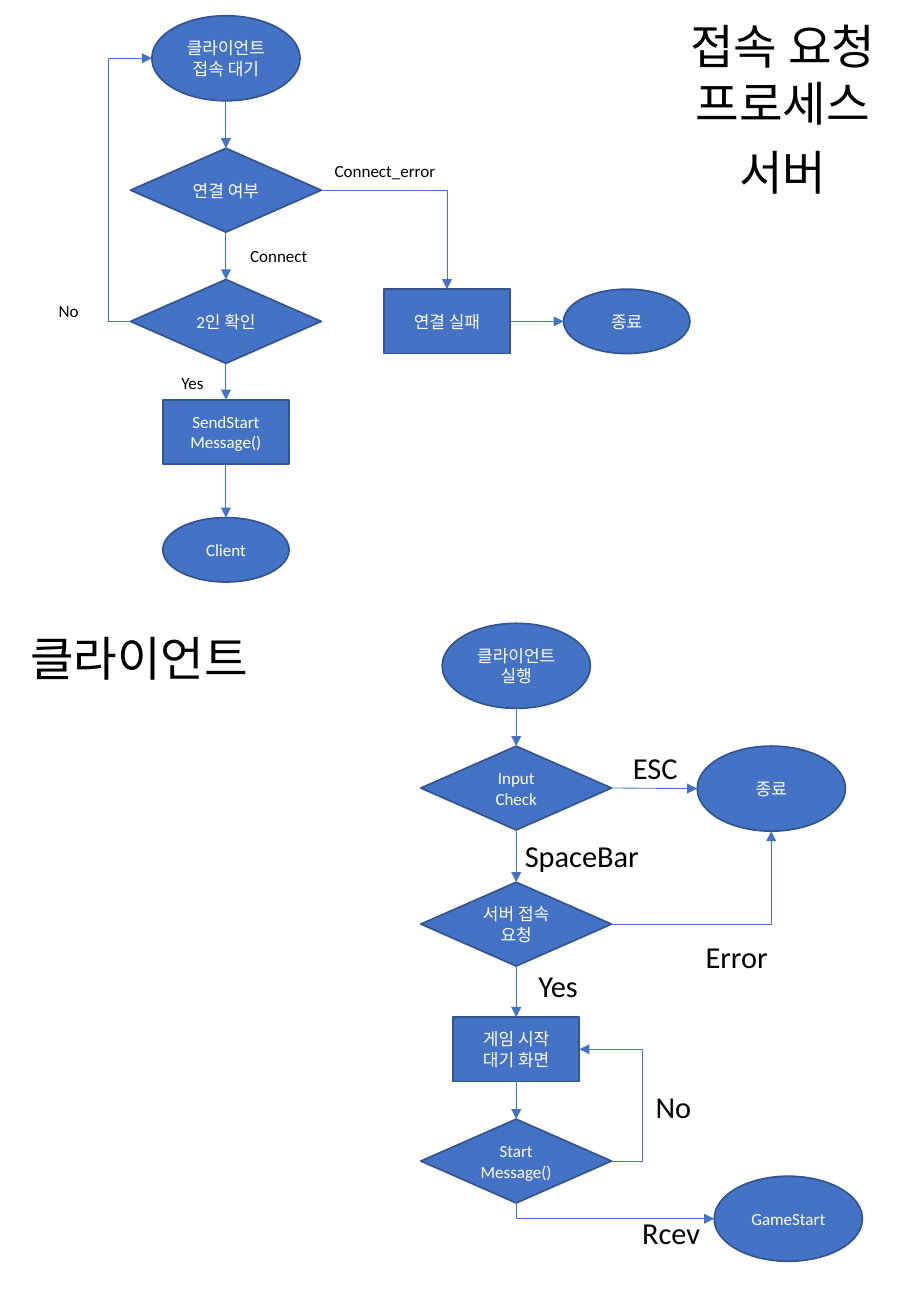
"""Build a slide with the server and client flowcharts of the connection request process."""
from dataclasses import dataclass

from lxml.etree import SubElement
from pptx import Presentation
from pptx.dml.color import RGBColor
from pptx.enum.shapes import MSO_CONNECTOR as Route, MSO_SHAPE as Preset
from pptx.enum.text import MSO_ANCHOR as Anchor, MSO_AUTO_SIZE as AutoSize, PP_ALIGN as Align
from pptx.oxml.ns import qn
from pptx.util import Inches, Pt


@dataclass(frozen=True)
class Theme:
    font: str = "Calibri"
    fill: RGBColor = RGBColor(0x44, 0x72, 0xC4)
    outline: RGBColor = RGBColor(0x32, 0x54, 0x91)
    dark: RGBColor = RGBColor(0, 0, 0)
    light: RGBColor = RGBColor(0xFF, 0xFF, 0xFF)
    title: float = 28.1
    label: float = 18
    small: float = 10.1


theme = Theme()


def write_text(shape, text, size, color, anchor=Anchor.TOP, inset=(0.1, 0.05), grow=False):
    frame = shape.text_frame
    frame.word_wrap = True
    frame.vertical_anchor = anchor
    frame.margin_left = frame.margin_right = Inches(inset[0])
    frame.margin_top = frame.margin_bottom = Inches(inset[1])
    if grow:
        frame.auto_size = AutoSize.SHAPE_TO_FIT_TEXT
    frame.text = text
    for paragraph in frame.paragraphs:
        paragraph.alignment = Align.CENTER
        for run in paragraph.runs:
            run.font.name = theme.font
            run.font.size = Pt(size)
            run.font.color.rgb = color


presentation = Presentation()
presentation.slide_width = Inches(7.5)
presentation.slide_height = Inches(10.83)
slide = presentation.slides.add_slide(presentation.slide_layouts[6])

kinds = {
    "terminal": (Preset.OVAL, 1.22, 0.7),
    "small terminal": (Preset.OVAL, 1.04, 0.53),
    "decision": (Preset.DIAMOND, 1.57, 0.69),
    "step": (Preset.RECTANGLE, 1.04, 0.53),
}
server_x, client_x = 1.86, 4.25
nodes = {
    "wait": ("terminal", "클라이언트 접속 대기", server_x, 0.13),
    "connected": ("decision", "연결 여부", server_x, 1.22),
    "two players": ("decision", "2인 확인", server_x, 2.3),
    "send start": ("step", "SendStart\nMessage()", server_x, 3.29),
    "client": ("small terminal", "Client", server_x, 4.26),
    "failed": ("step", "연결 실패", 3.68, 2.38),
    "server end": ("small terminal", "종료", 5.16, 2.38),
    "run": ("terminal", "클라이언트 실행", client_x, 5.13),
    "input": ("decision", "Input\nCheck", client_x, 6.14),
    "client end": ("terminal", "종료", 6.35, 6.14),
    "request": ("decision", "서버 접속 요청", client_x, 7.26),
    "lobby": ("step", "게임 시작\n대기 화면", client_x, 8.37),
    "start message": ("decision", "Start\nMessage()", client_x, 9.21),
    "game start": ("terminal", "GameStart", 6.49, 9.68),
}
shapes = {}
for name, (kind, text, center, top) in nodes.items():
    preset, width, height = kinds[kind]
    shape = slide.shapes.add_shape(
        preset, Inches(center - width / 2), Inches(top), Inches(width), Inches(height))
    shape.shadow.inherit = False
    shape.fill.solid()
    shape.fill.fore_color.rgb = theme.fill
    shape.line.color.rgb = theme.outline
    shape.line.width = Pt(1)
    write_text(shape, text, theme.small, theme.light, anchor=Anchor.MIDDLE, inset=(0.06, 0.03))
    shapes[name] = shape

TOP, LEFT, BOTTOM, RIGHT = range(4)
server_chain = ["wait", "connected", "two players", "send start", "client"]
client_chain = ["run", "input", "request", "lobby", "start message"]
links = [
    (start, BOTTOM, end, TOP, "straight")
    for chain in (server_chain, client_chain)
    for start, end in zip(chain, chain[1:])
]
links += [
    ("failed", RIGHT, "server end", LEFT, "straight"),
    ("input", RIGHT, "client end", LEFT, "straight"),
    ("connected", RIGHT, "failed", TOP, "across first"),
    ("request", RIGHT, "client end", BOTTOM, "across first"),
    ("start message", BOTTOM, "game start", LEFT, "down first"),
    ("two players", LEFT, "wait", LEFT, 0.89),
    ("start message", RIGHT, "lobby", RIGHT, 5.29),
]
for start, start_side, end, end_side, route in links:
    style = Route.STRAIGHT if route == "straight" else Route.ELBOW
    connector = slide.shapes.add_connector(style, 0, 0, 0, 0)
    connector.begin_connect(shapes[start], start_side)
    connector.end_connect(shapes[end], end_side)
    ends = connector.element.nvCxnSpPr.cNvCxnSpPr
    for joint, name, side in ((ends.stCxn, start, start_side), (ends.endCxn, end, end_side)):
        if shapes[name].auto_shape_type == Preset.OVAL:
            joint.idx = side * 2

    properties = connector.element.spPr
    geometry = properties.find(qn("a:prstGeom"))
    if route in ("across first", "down first"):
        geometry.set("prst", "bentConnector2")
    elif route != "straight":
        share = (Inches(route) - connector.begin_x) / (connector.end_x - connector.begin_x)
        SubElement(geometry.find(qn("a:avLst")), qn("a:gd"),
                   name="adj1", fmla=f"val {round(share * 100000)}")
    if route == "down first":
        left, top, width, height = connector.left, connector.top, connector.width, connector.height
        connector.left = left + (width - height) // 2
        connector.top = top + (height - width) // 2
        connector.width, connector.height = height, width
        connector.rotation = 270
        properties.find(qn("a:xfrm")).set("flipH", "1")

    connector.line.color.rgb = theme.fill
    connector.line.width = Pt(0.5)
    SubElement(properties.find(qn("a:ln")), qn("a:tailEnd"), type="triangle")
    SubElement(properties, qn("a:effectLst"))

captions = [
    ("접속 요청\v프로세스", theme.title, 5.46, 0.09, 1.97, 1.05),
    ("서버", theme.title, 5.46, 1.13, 1.97, 0.57),
    ("클라이언트", theme.title, 0, 5.13, 2.29, 0.57),
    ("Connect", theme.small, 1.94, 1.97, 0.71, 0.27),
    ("Connect_error", theme.small, 2.65, 1.27, 1.04, 0.27),
    ("Yes", theme.small, 1.23, 3.02, 0.71, 0.27),
    ("No", theme.small, 0.21, 2.42, 0.71, 0.27),
    ("ESC", theme.label, 5.01, 6.12, 0.77, 0.4),
    ("SpaceBar", theme.label, 4.18, 6.84, 1.22, 0.4),
    ("Error", theme.label, 5.68, 7.67, 0.77, 0.4),
    ("Yes", theme.label, 4.21, 7.91, 0.77, 0.4),
    ("No", theme.label, 5.21, 8.91, 0.67, 0.4),
    ("Rcev", theme.label, 5.17, 9.94, 0.71, 0.4),
]
for text, size, *box in captions:
    caption = slide.shapes.add_textbox(*map(Inches, box))
    write_text(caption, text, size, theme.dark, grow=True)

presentation.save("out.pptx")
